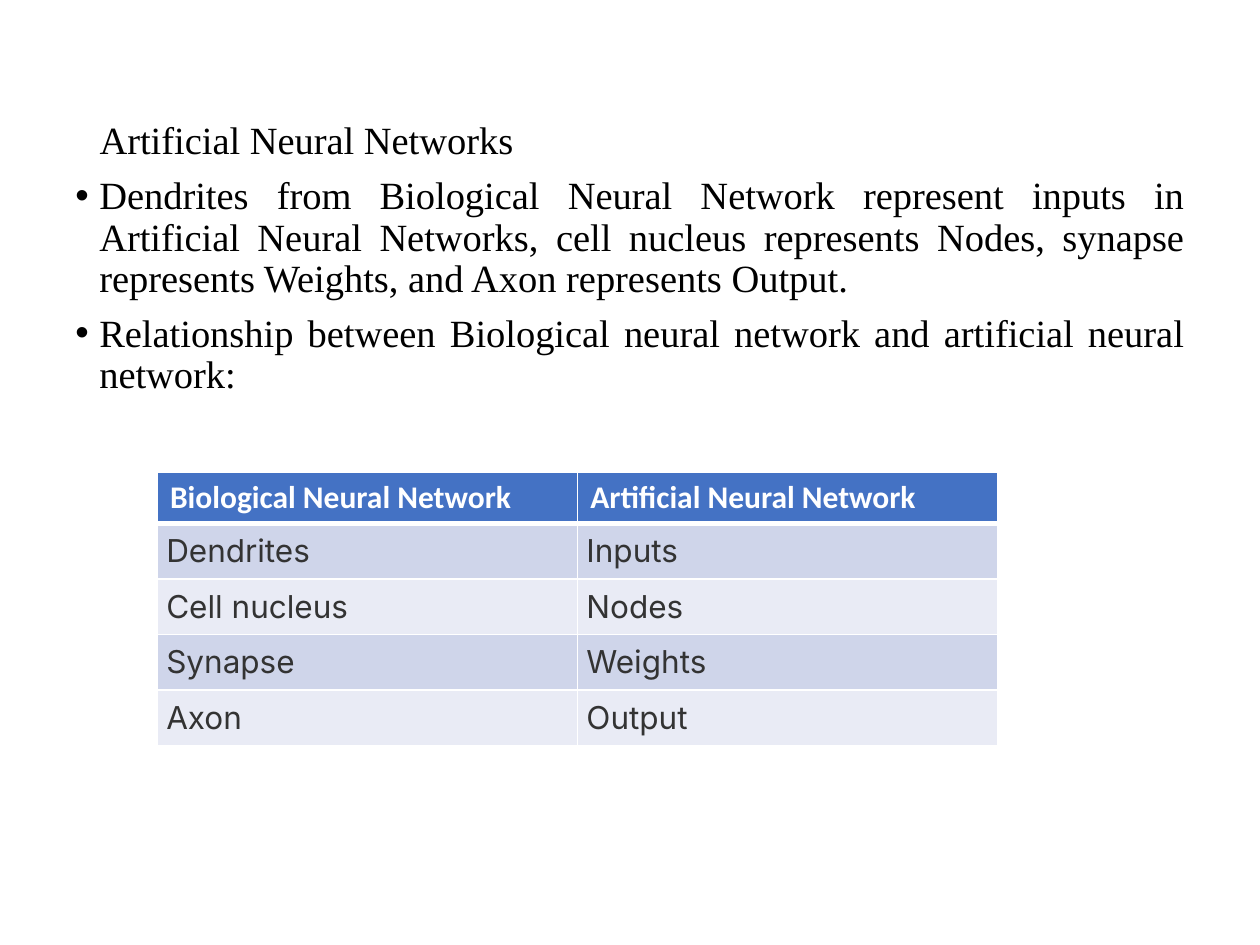
from pptx import Presentation
from pptx.dml.color import RGBColor
from pptx.enum.text import MSO_ANCHOR as Anchor, PP_ALIGN as Align
from pptx.oxml.ns import qn
from pptx.util import Inches, Pt
from lxml.etree import SubElement as Sub

BLACK = RGBColor(0, 0, 0)
WHITE = RGBColor(0xFF, 0xFF, 0xFF)
GREY = RGBColor(0x33, 0x33, 0x33)
BLUE = RGBColor(0x44, 0x72, 0xC4)
BANDS = [RGBColor(0xCF, 0xD5, 0xEA), RGBColor(0xE9, 0xEB, 0xF5)]

POINTS = [
    "Dendrites from Biological Neural Network represent inputs in Artificial "
    "Neural Networks, cell nucleus represents Nodes, synapse represents "
    "Weights, and Axon represents Output.",
    "Relationship between Biological neural network and artificial neural "
    "network:",
]
ROWS = [
    ("Biological Neural Network", "Artificial Neural Network"),
    ("Dendrites", "Inputs"),
    ("Cell nucleus", "Nodes"),
    ("Synapse", "Weights"),
    ("Axon", "Output"),
]


def style(para, name, size, color, bold=False):
    font = para.font
    font.name, font.size, font.bold = name, Pt(size), bold
    font.color.rgb = color


def add_title(slide, text):
    title = slide.shapes.title
    title.left, title.top = Inches(0.69), Inches(0.4)
    title.width, title.height = Inches(8.62), Inches(1.45)
    frame = title.text_frame
    frame.text = text
    frame.word_wrap = True
    frame.vertical_anchor = Anchor.MIDDLE
    para = frame.paragraphs[0]
    para.alignment = Align.LEFT
    para.line_spacing = 0.9
    style(para, "Times New Roman", 22, BLACK)


def add_bullet(para):
    props = para._p.get_or_add_pPr()
    indent = Inches(0.19)
    props.set("marL", str(indent))
    props.set("indent", str(-indent))
    Sub(props, qn("a:buFont")).set("typeface", "Arial")
    Sub(props, qn("a:buChar")).set("char", "•")


def add_points(slide, points):
    box = slide.shapes.add_textbox(Inches(0.5), Inches(1.35), Inches(9), Inches(5.4))
    frame = box.text_frame
    frame.word_wrap = True
    for i, text in enumerate(points):
        para = frame.add_paragraph() if i else frame.paragraphs[0]
        para.text = text
        para.alignment = Align.JUSTIFY
        para.line_spacing = 0.9
        para.space_before = Pt(7.5)
        add_bullet(para)
        style(para, "Times New Roman", 22, BLACK)


def set_edges(cell, base):
    props = cell._tc.get_or_add_tcPr()
    for side, width in (("L", 1), ("R", 1), ("T", 1), ("B", base)):
        line = Sub(props, qn(f"a:ln{side}"), w=str(Pt(width)))
        fill = Sub(line, qn("a:solidFill"))
        Sub(fill, qn("a:srgbClr"), val=str(WHITE))


def fill_cell(cell, text, row):
    head = row == 0
    cell.text = text
    para = cell.text_frame.paragraphs[0]
    set_edges(cell, 3 if head else 1)
    cell.fill.solid()
    if head:
        cell.fill.fore_color.rgb = BLUE
        style(para, "Calibri", 18, WHITE, True)
        return
    cell.fill.fore_color.rgb = BANDS[(row - 1) % 2]
    cell.margin_left = cell.margin_right = Inches(0.07)
    cell.margin_top = cell.margin_bottom = Inches(0.07)
    para.alignment = Align.JUSTIFY
    style(para, "Inter", 18, GREY)


def add_grid(slide, rows):
    frame = slide.shapes.add_table(
        len(rows), len(rows[0]), Inches(1.25), Inches(3.75), Inches(6.67), Inches(2.03))
    table = frame.table
    for r, row in enumerate(rows):
        for c, text in enumerate(row):
            fill_cell(table.cell(r, c), text, r)


def main():
    deck = Presentation()
    deck.slide_width, deck.slide_height = Inches(10), Inches(7.5)
    slide = deck.slides.add_slide(deck.slide_layouts[5])
    add_title(slide, "Artificial Neural Networks")
    add_points(slide, POINTS)
    add_grid(slide, ROWS)
    deck.save("out.pptx")


if __name__ == "__main__":
    main()
